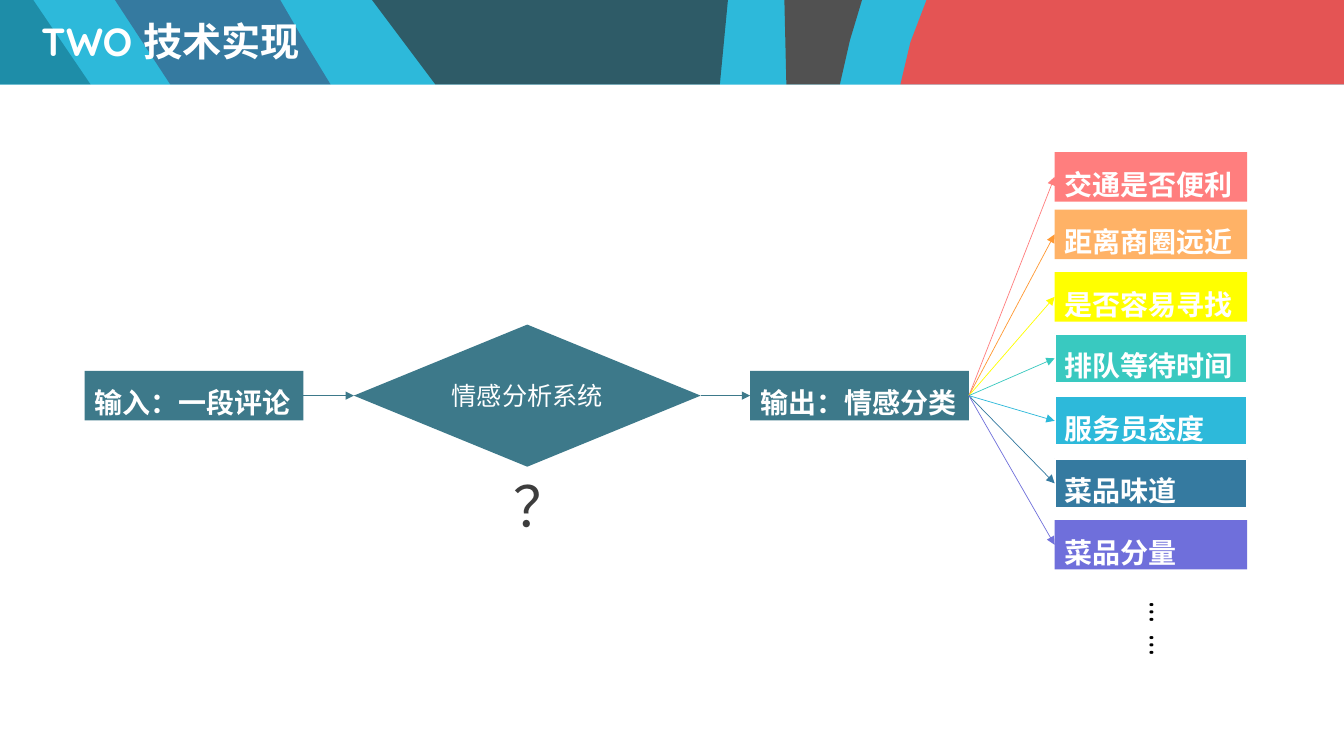
"""Build the slide showing the sentiment analysis flow."""
from lxml import etree
from pptx import Presentation
from pptx.dml.color import RGBColor
from pptx.enum.lang import MSO_LANGUAGE_ID
from pptx.enum.shapes import MSO_CONNECTOR, MSO_SHAPE
from pptx.enum.text import MSO_ANCHOR, MSO_AUTO_SIZE, PP_ALIGN
from pptx.oxml.ns import qn
from pptx.util import Inches, Pt

RECTANGLE, DIAMOND = MSO_SHAPE.RECTANGLE, MSO_SHAPE.DIAMOND
STRAIGHT = MSO_CONNECTOR.STRAIGHT
TOP, MIDDLE = MSO_ANCHOR.TOP, MSO_ANCHOR.MIDDLE
LEFT, CENTER = PP_ALIGN.LEFT, PP_ALIGN.CENTER
FIXED, GROW = MSO_AUTO_SIZE.NONE, MSO_AUTO_SIZE.SHAPE_TO_FIT_TEXT
CHINESE = MSO_LANGUAGE_ID.SIMPLIFIED_CHINESE

WIDTH, HEIGHT, HEADER = 13.33, 7.5, 0.84
WHITE, CYAN, STEEL = "FFFFFF", "2DB9DA", "3D798A"
LEFT_SITE, RIGHT_SITE = 1, 3

BANDS = [
    ("1E8DA8", [(0, 0), (0.33, 0), (0.9, HEADER), (0, HEADER)]),
    ("357AA0", [(1.14, 0), (2.78, 0), (3, 0.38), (3.28, HEADER), (1.69, HEADER)]),
    ("2E5B67", [(3.69, 0), (7.22, 0), (7.14, HEADER), (4.32, HEADER)]),
    ("515151", [(7.78, 0), (8.55, 0), (8.43, 0.4), (8.33, HEADER), (7.8, HEADER)]),
    ("E45454", [(9.19, 0), (WIDTH, 0), (WIDTH, HEADER), (8.93, HEADER), (9.03, 0.42)]),
]
TITLE = "TWO 技术实现"
INPUT, SYSTEM, OUTPUT = "输入：一段评论", "情感分析系统", "输出：情感分类"
CATEGORIES = [
    ("交通是否便利", 1.51, "FF7E7E", 100, False, "FF7E7E"),
    ("距离商圈远近", 2.08, "FF9933", 75, False, "FF9933"),
    ("是否容易寻找", 2.7, "FFFF00", 100, False, "FFFF00"),
    ("排队等待时间", 3.31, "39C9C0", 100, True, "39C9C0"),
    ("服务员态度", 3.93, CYAN, 100, True, CYAN),
    ("菜品味道", 4.55, "357AA0", 100, True, "357AA0"),
    ("菜品分量", 5.16, "3333CC", 70, False, "7171DB"),
]
CATEGORY_LEFT, CATEGORY_WIDTH, BOX_HEIGHT = 10.46, 1.91, 0.49
FLOW_TOP, FLOW_WIDTH = 3.68, 2.17


def paint(fill, color, opacity=100):
    fill.solid()
    fill.fore_color.rgb = RGBColor.from_string(color)
    if opacity < 100:
        tone = fill._xPr.find(qn("a:solidFill"))[0]
        etree.SubElement(tone, qn("a:alpha")).set("val", str(opacity * 1000))


def write(shape, text, size, color=WHITE, bold=False, align=LEFT, anchor=TOP,
          spacing=None, fit=GROW, wrap=True):
    frame = shape.text_frame
    frame.word_wrap, frame.auto_size, frame.vertical_anchor = wrap, fit, anchor
    para = frame.paragraphs[0]
    para.alignment, para.line_spacing = align, spacing
    span = para.add_run()
    span.text = text
    font = span.font
    font.name, font.size, font.bold = "Quicksand", Pt(size), bold
    font.language_id = CHINESE
    font.color.rgb = RGBColor.from_string(color)
    return frame


def add_box(page, kind, area, color, opacity=100, outlined=False):
    box = page.shapes.add_shape(kind, *map(Inches, area))
    box.shadow.inherit = False
    paint(box.fill, color, opacity)
    if outlined:
        paint(box.line.fill, WHITE)
        box.line.width = Pt(1.5)
    else:
        box.line.fill.background()
    return box


def add_label(page, text, area, **style):
    return write(page.shapes.add_textbox(*map(Inches, area)), text, **style)


def add_band(page, color, points):
    corners = [(Inches(x), Inches(y)) for x, y in points]
    builder = page.shapes.build_freeform(*corners[0])
    builder.add_line_segments(corners[1:], close=True)
    band = builder.convert_to_shape()
    band.shadow.inherit = False
    paint(band.fill, color)
    band.line.fill.background()


def add_arrow(page, source, target, color):
    arrow = page.shapes.add_connector(STRAIGHT, 0, 0, 0, 0)
    arrow.begin_connect(source, RIGHT_SITE)
    arrow.end_connect(target, LEFT_SITE)
    paint(arrow.line.fill, color)
    arrow.line.width = Pt(0.5)
    etree.SubElement(arrow.line._get_or_add_ln(), qn("a:tailEnd")).set("type", "triangle")
    etree.SubElement(arrow._element.spPr, qn("a:effectLst"))


def main():
    deck = Presentation()
    deck.slide_width, deck.slide_height = Inches(WIDTH), Inches(HEIGHT)
    page = deck.slides.add_slide(deck.slide_layouts[6])
    paint(page.background.fill, CYAN)
    for color, points in BANDS:
        add_band(page, color, points)
    add_box(page, RECTANGLE, (0, HEADER, WIDTH, HEIGHT - HEADER), WHITE)
    add_label(page, TITLE, (0.31, 0.11, 8.48, 0.65), size=28, bold=True,
              anchor=MIDDLE, spacing=0.9, fit=FIXED)

    ends = []
    for text, left in ((INPUT, 0.84), (OUTPUT, 7.44)):
        box = add_box(page, RECTANGLE, (left, FLOW_TOP, FLOW_WIDTH, BOX_HEIGHT), STEEL)
        write(box, text, 20, bold=True, spacing=1.3, wrap=False)
        ends.append(box)
    start, result = ends
    system = add_box(page, DIAMOND, (3.51, 3.22, 3.44, 1.41), STEEL)
    write(system, SYSTEM, 18, align=CENTER, anchor=MIDDLE, fit=FIXED)
    add_arrow(page, start, system, STEEL)
    add_arrow(page, system, result, STEEL)

    for text, top, color, opacity, outlined, arrow_color in CATEGORIES:
        area = (CATEGORY_LEFT, top, CATEGORY_WIDTH, BOX_HEIGHT)
        box = add_box(page, RECTANGLE, area, color, opacity, outlined)
        write(box, text, 20, bold=True, spacing=1.3)
        add_arrow(page, result, box, arrow_color)

    more = add_label(page, "… …", (11.17, 5.87, 0.67, 1.18), size=28, color="000000")
    more._txBody.bodyPr.set("vert", "eaVert")
    add_label(page, "？", (4.99, 4.63, 0.48, 0.77), size=40, color="3D3D3D")
    deck.save("out.pptx")


if __name__ == "__main__":
    main()
